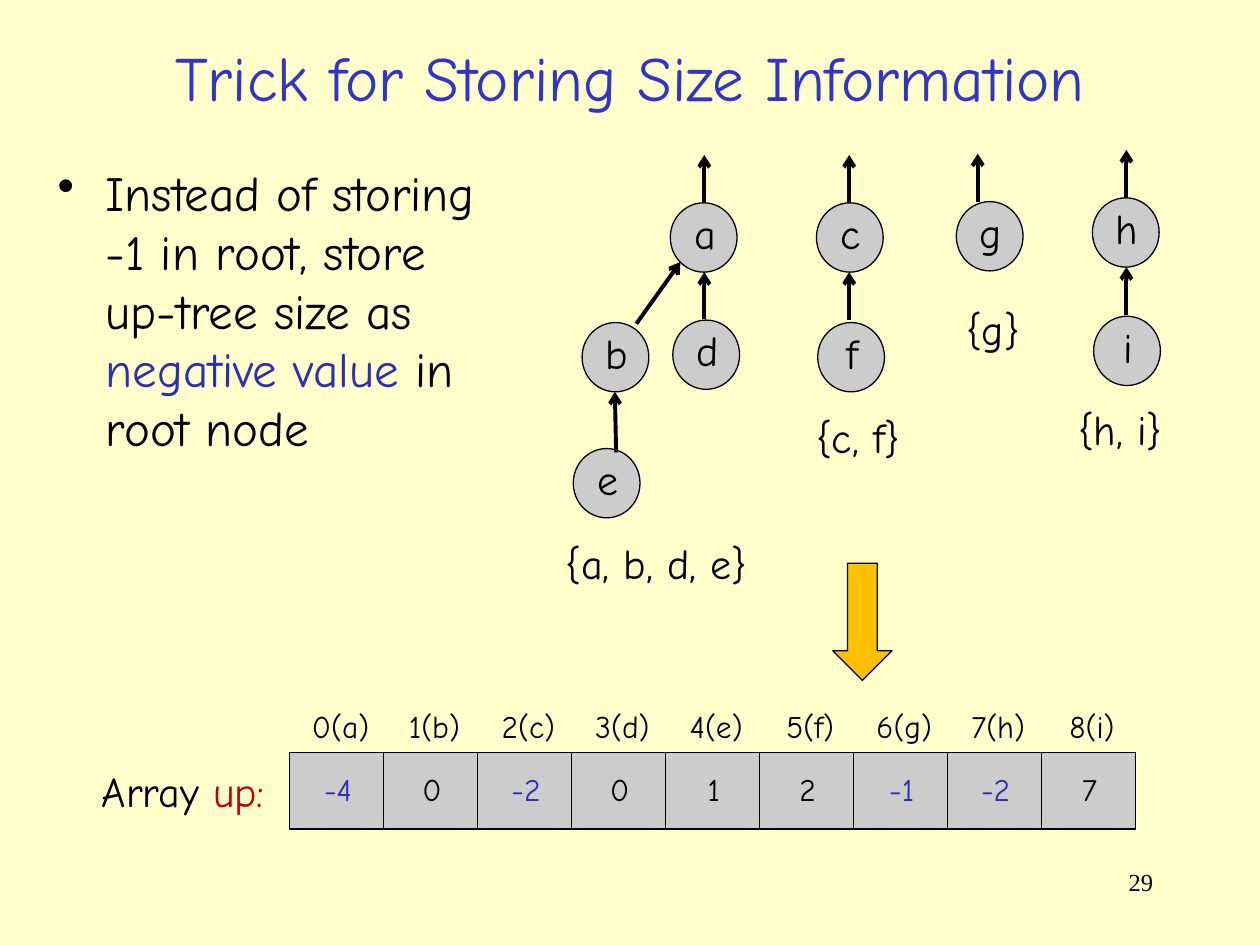
from dataclasses import dataclass

from lxml import etree
from pptx import Presentation
from pptx.dml.color import RGBColor
from pptx.enum.shapes import MSO_CONNECTOR, MSO_SHAPE
from pptx.enum.text import MSO_ANCHOR, MSO_AUTO_SIZE, PP_ALIGN
from pptx.oxml.ns import qn
from pptx.util import Inches, Pt

LEFT, CENTER, RIGHT = PP_ALIGN.LEFT, PP_ALIGN.CENTER, PP_ALIGN.RIGHT
MIDDLE = MSO_ANCHOR.MIDDLE
FIXED_SIZE, FIT_TEXT = MSO_AUTO_SIZE.NONE, MSO_AUTO_SIZE.SHAPE_TO_FIT_TEXT
OVAL, RECTANGLE, DOWN_ARROW = MSO_SHAPE.OVAL, MSO_SHAPE.RECTANGLE, MSO_SHAPE.DOWN_ARROW
STRAIGHT = MSO_CONNECTOR.STRAIGHT


@dataclass(frozen=True)
class Theme:
    font: str = "Comic Neue"
    number_font: str = "Times New Roman"
    background: str = "FFFFCC"
    text: str = "000000"
    title: str = "3333CC"
    accent: str = "2D2DB9"
    array_name: str = "C00000"
    gray: str = "CCCCCC"
    arrow: str = "FFC000"
    title_size: int = 36
    body_size: int = 28
    label_size: int = 24
    cell_size: int = 18
    number_size: int = 14


theme = Theme()
presentation = Presentation()
presentation.slide_width, presentation.slide_height = Inches(10), Inches(7.5)
slide = presentation.slides.add_slide(presentation.slide_layouts[6])
slide.background.fill.solid()
slide.background.fill.fore_color.rgb = RGBColor.from_string(theme.background)


def add_text(box, runs, size, align=LEFT, wrap=False, font=theme.font):
    """Add a text box at (left, top, width, height) from (text, colour) runs."""
    shape = slide.shapes.add_textbox(*map(Inches, box))
    frame = shape.text_frame
    frame.word_wrap = wrap
    frame.auto_size = FIXED_SIZE if wrap else FIT_TEXT
    paragraph = frame.paragraphs[0]
    paragraph.alignment = align
    for text, color in runs:
        run = paragraph.add_run()
        run.text = text
        run.font.name = font
        run.font.size = Pt(size)
        run.font.color.rgb = RGBColor.from_string(color)
    return shape


def add_outlined(kind, box, fill):
    shape = slide.shapes.add_shape(kind, *map(Inches, box))
    shape.shadow.inherit = False
    shape.fill.solid()
    shape.fill.fore_color.rgb = RGBColor.from_string(fill)
    shape.line.color.rgb = RGBColor.from_string(theme.text)
    shape.line.width = Pt(0.75)


# Page number, title and bullet
add_text((7.17, 6.83, 2.08, 0.5), [("29", theme.text)], theme.number_size,
         RIGHT, True, theme.number_font)
title = add_text((0.2, 0.26, 9.6, 0.69),
                 [("Trick for Storing Size Information", theme.title)],
                 theme.title_size, CENTER, True)
title.text_frame.vertical_anchor = MIDDLE

body = add_text((0.36, 1.24, 3.78, 3.18), [
    ("Instead of storing -1 in root, store up-tree size as ", theme.text),
    ("negative value ", theme.accent),
    ("in root node", theme.text),
], theme.body_size, wrap=True)
properties = body.text_frame.paragraphs[0]._p.get_or_add_pPr()
properties.set("marL", str(Inches(0.38)))
properties.set("indent", str(-Inches(0.38)))
bullet_color = etree.SubElement(properties, qn("a:buClr"))
etree.SubElement(bullet_color, qn("a:srgbClr"), val=theme.text)
etree.SubElement(properties, qn("a:buChar"), char="•")

# Up-trees: nodes, parent arrows and set names
NODE_WIDTH, NODE_HEIGHT = 0.53, 0.55
LABEL_WIDTH, LABEL_HEIGHT = 0.44, 0.5
nodes = {
    "a": (5.32, 1.61), "b": (4.62, 2.56), "d": (5.34, 2.54), "e": (4.55, 3.56),
    "c": (6.48, 1.61), "f": (6.49, 2.56), "g": (7.59, 1.6),
    "h": (8.67, 1.57), "i": (8.68, 2.51),
}
for name, (left, top) in nodes.items():
    add_outlined(OVAL, (left, top, NODE_WIDTH, NODE_HEIGHT), theme.gray)
    label_left = left + (NODE_WIDTH - LABEL_WIDTH) / 2 + 0.01
    add_text((label_left, top - 0.01, LABEL_WIDTH, LABEL_HEIGHT),
             [(name, theme.text)], theme.label_size, CENTER)

parent_arrows = [
    (5.05, 2.57, 5.4, 2.08), (5.59, 2.53, 5.59, 2.16), (4.89, 3.59, 4.88, 3.11),
    (6.74, 2.54, 6.74, 2.16), (8.94, 2.5, 8.94, 2.12),
    (5.59, 1.61, 5.59, 1.23), (6.74, 1.61, 6.74, 1.23),
    (7.76, 1.6, 7.76, 1.22), (8.94, 1.57, 8.94, 1.19),
]
for ends in parent_arrows:
    connector = slide.shapes.add_connector(STRAIGHT, *map(Inches, ends))
    connector.line.color.rgb = RGBColor.from_string(theme.text)
    connector.line.width = Pt(2.25)
    etree.SubElement(connector.line._get_or_add_ln(), qn("a:tailEnd"), type="arrow")
    etree.SubElement(connector._element.spPr, qn("a:effectLst"))

set_names = [
    ("{a, b, d, e}", 4.39, 4.22, 1.7), ("{c, f}", 6.38, 3.22, 0.94),
    ("{g}", 7.57, 2.36, 0.7), ("{h, i}", 8.46, 3.15, 0.94),
]
for name, left, top, width in set_names:
    add_text((left, top, width, LABEL_HEIGHT), [(name, theme.text)], theme.label_size)

# Array: one cell per node, roots hold negative sizes
ARRAY_LEFT, ARRAY_RIGHT, CELL_TOP, CELL_HEIGHT = 2.3, 9.01, 5.97, 0.61
INDEX_WIDTH, VALUE_WIDTH = 0.72, 0.5
values = [-4, 0, -2, 0, 1, 2, -1, -2, 7]
cell_width = (ARRAY_RIGHT - ARRAY_LEFT) / len(values)
for index, (name, value) in enumerate(zip("abcdefghi", values)):
    left = ARRAY_LEFT + index * cell_width
    middle = left + cell_width / 2
    add_outlined(RECTANGLE, (left, CELL_TOP, cell_width, CELL_HEIGHT), theme.gray)
    add_text((middle - VALUE_WIDTH / 2 + 0.01, 6.06, VALUE_WIDTH, 0.4),
             [(str(value), theme.accent if value < 0 else theme.text)],
             theme.cell_size, CENTER)
    add_text((middle - INDEX_WIDTH / 2 + 0.03, 5.56, INDEX_WIDTH, 0.4),
             [(f"{index}({name})", theme.text)], theme.cell_size, CENTER)

add_text((0.71, 6.03, 1.56, 0.5), [("Array ", theme.text), ("up:", theme.array_name)],
         theme.label_size)
add_outlined(DOWN_ARROW, (6.61, 4.47, 0.47, 0.93), theme.arrow)

presentation.save("out.pptx")
